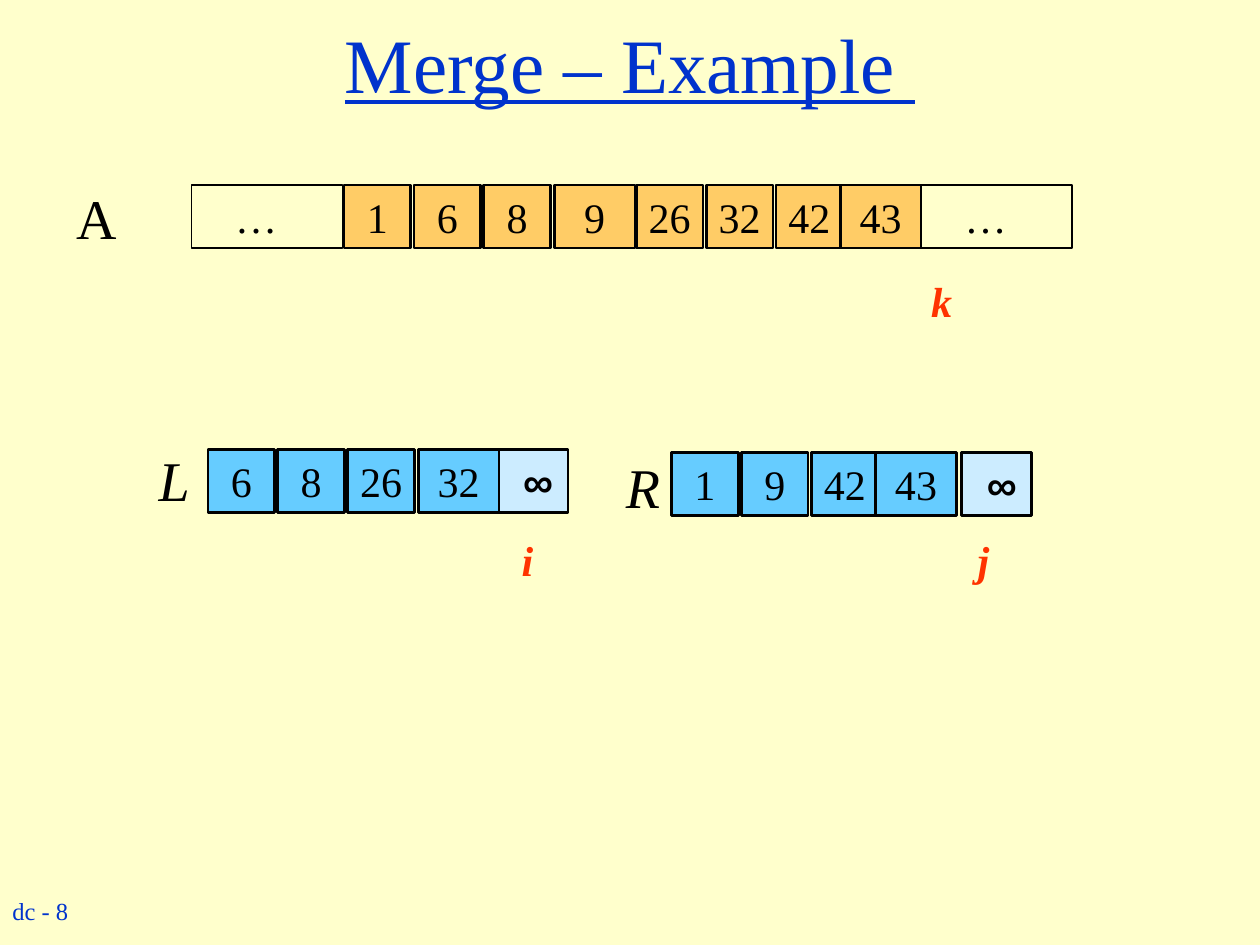
import pptx
import pptx.util
import pptx.dml.color
import pptx.enum.shapes
import pptx.enum.text

RGBColor = pptx.dml.color.RGBColor
PP_ALIGN = pptx.enum.text.PP_ALIGN
ANCHOR = pptx.enum.text.MSO_ANCHOR

PAPER = RGBColor(0xFF, 0xFF, 0xCC)
BLACK = RGBColor(0x00, 0x00, 0x00)
BLUE = RGBColor(0x00, 0x33, 0xCC)
RED = RGBColor(0xFF, 0x33, 0x00)
ORANGE = RGBColor(0xFF, 0xCC, 0x66)
SKY = RGBColor(0x66, 0xCC, 0xFF)
PALE = RGBColor(0xCC, 0xEC, 0xFF)

SERIF = "Times New Roman"
COLUMNS, ROWS = 100, 75
UNIT = pptx.util.Inches(0.1)
CELL_HEIGHT = 5
NARROW, WIDE, PITCH = 5.3, 6.4, 5.55
SENTINEL = 5.6
SPACE = 0.83

NUMBER = {"size": 24}
INFINITY = {"size": 24, "name": "Arial", "bold": True}
POINTER = {"size": 24, "color": RED, "bold": True, "italic": True}
ARRAY_NAME = {"size": 32}
HALF_NAME = {"size": 32, "italic": True}


def grid(*lengths):
    return [round(length * UNIT) for length in lengths]


def write(shape, text, style, align=PP_ALIGN.LEFT, anchor=ANCHOR.TOP, wrap=True, indent=0):
    """Put one formatted paragraph in a shape, indented by grid columns."""
    frame = shape.text_frame
    frame.word_wrap = wrap
    frame.auto_size = pptx.enum.text.MSO_AUTO_SIZE.NONE
    frame.vertical_anchor = anchor
    paragraph = frame.paragraphs[0]
    paragraph.text = text
    paragraph.alignment = align
    if indent:
        paragraph._p.get_or_add_pPr().set("marL", str(grid(indent)[0]))
    values = {"name": SERIF, "color": BLACK, **style}
    paragraph.font.color.rgb = values.pop("color")
    values["size"] = pptx.util.Pt(values["size"])
    for name, value in values.items():
        setattr(paragraph.font, name, value)


def add_label(slide, box, text, style):
    write(slide.shapes.add_textbox(*grid(*box)), text, style, wrap=False)


def add_cell(slide, box, text, style=NUMBER, fill=None, line=1.5, **layout):
    shape = slide.shapes.add_shape(pptx.enum.shapes.MSO_SHAPE.RECTANGLE, *grid(*box))
    shape.shadow.inherit = False
    if fill is None:
        shape.fill.background()
    else:
        shape.fill.solid()
        shape.fill.fore_color.rgb = fill
    if line:
        shape.line.color.rgb = BLACK
        shape.line.width = pptx.util.Pt(line)
    else:
        shape.line.fill.background()
    write(shape, text, style, **layout)


def add_run(slide, left, top, width, values, fill):
    """Draw evenly stepped narrow cells, then a wide one flush with the right end."""
    last = len(values) - 1
    for index, value in enumerate(values):
        cell_left = left + (width - WIDE if index == last else index * PITCH)
        cell_width = WIDE if index == last else NARROW
        add_cell(slide, (cell_left, top, cell_width, CELL_HEIGHT), str(value),
                 fill=fill, align=PP_ALIGN.CENTER, wrap=index == last)


def add_pointer(slide, box, name, spaces):
    add_cell(slide, box, name, POINTER, fill=PAPER, line=0, indent=spaces * SPACE)


def add_title(slide, box):
    title = slide.shapes.title
    title.left, title.top, title.width, title.height = grid(*box)
    write(title, "Merge – Example ", {"size": 44, "color": BLUE, "underline": True},
          align=PP_ALIGN.CENTER, anchor=ANCHOR.MIDDLE)


def add_merged_array(slide, left, top):
    add_label(slide, (left - 10.1, top - 0.6, 5.2, 6.4), "A", ARRAY_NAME)
    for offset in (0, 57.9):
        add_cell(slide, (left + offset, top, 12, CELL_HEIGHT), "…", line=1, indent=3 * SPACE)
    add_run(slide, left + 12.1, top, 23.1, (1, 6, 8, 9), ORANGE)
    add_run(slide, left + 35.3, top, 22.6, (26, 32, 42, 43), ORANGE)
    add_pointer(slide, (left + 10.4, top + 6.7, 58.6, 9), "k", 57)


def add_half(slide, left, top, width, name, name_box, values, sentinel_left):
    """Draw a sorted half: its name, its values and the closing infinity."""
    add_cell(slide, (sentinel_left, top, SENTINEL, CELL_HEIGHT), "∞", INFINITY,
             fill=PALE, align=PP_ALIGN.CENTER, indent=SPACE)
    add_run(slide, left, top, width, values, SKY)
    add_label(slide, name_box, name, HALF_NAME)


def main():
    presentation = pptx.Presentation()
    presentation.slide_width, presentation.slide_height = grid(COLUMNS, ROWS)
    slide = presentation.slides.add_slide(presentation.slide_layouts[5])
    slide.background.fill.solid()
    slide.background.fill.fore_color.rgb = PAPER

    add_label(slide, (0, 70.6, 13.6, 3.4), "dc - 8", {"size": 14, "color": BLUE})
    add_title(slide, (0, 0, COLUMNS, 10))
    add_merged_array(slide, 15.2, 14.7)
    add_half(slide, 16.5, 35.7, 23.1, "L", (11.6, 34.9, 4.5, 6.4), (6, 8, 26, 32), 39.5)
    add_half(slide, 53.3, 35.9, 22.6, "R", (48.7, 35.4, 4.7, 6.4), (1, 9, 42, 43), 76.3)
    add_pointer(slide, (18, 41.9, 27.9, CELL_HEIGHT), "i", 27)
    add_pointer(slide, (51.7, 41.9, 30.1, CELL_HEIGHT), "j", 30)
    presentation.save("out.pptx")


if __name__ == "__main__":
    main()
